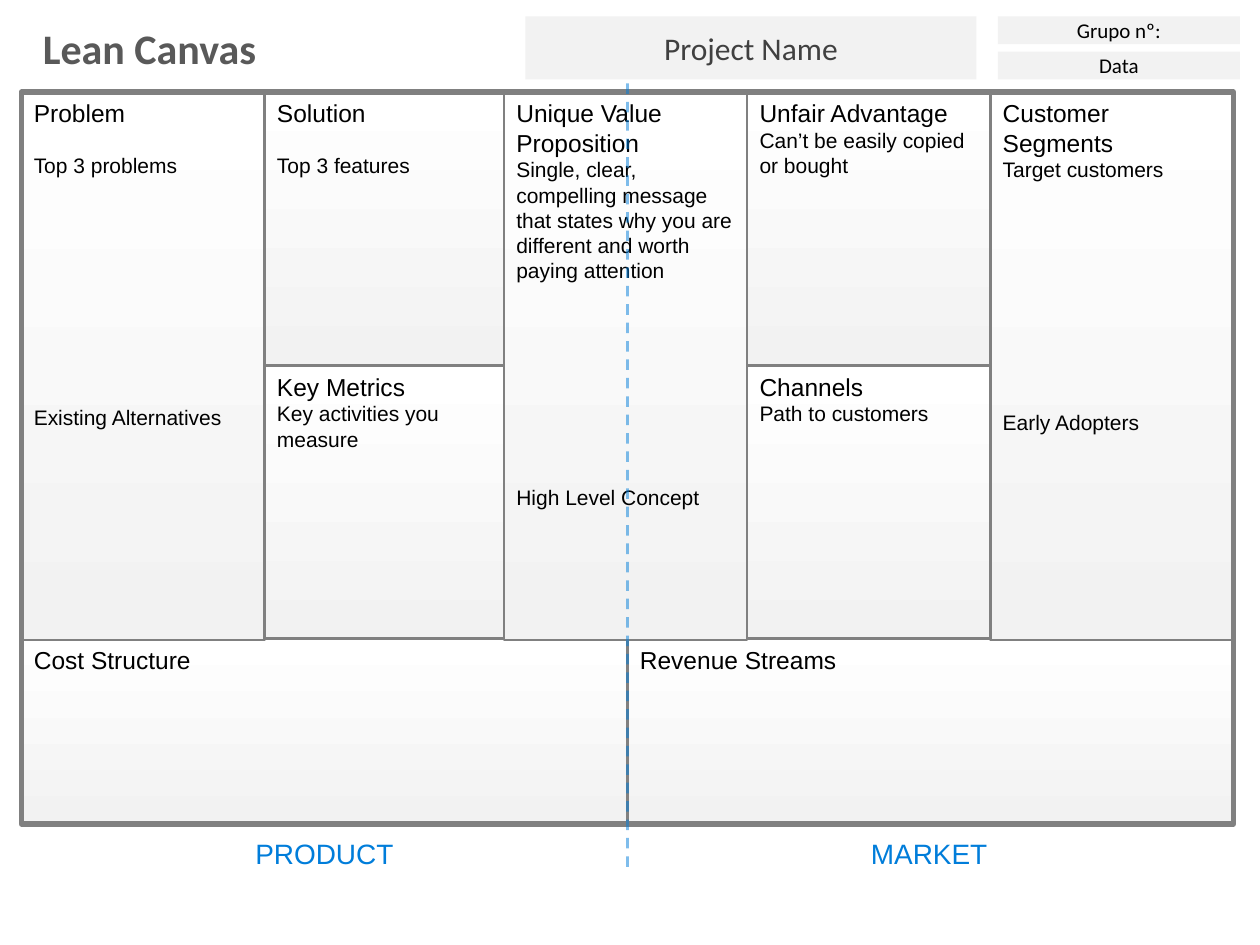
import lxml.etree
import pptx
import pptx.dml.color
import pptx.enum.dml
import pptx.enum.shapes
import pptx.enum.text
import pptx.oxml.ns
import pptx.util

Inches = pptx.util.Inches
Pt = pptx.util.Pt
RGBColor = pptx.dml.color.RGBColor
Align = pptx.enum.text.PP_ALIGN
Anchor = pptx.enum.text.MSO_ANCHOR
Shape = pptx.enum.shapes.MSO_SHAPE
qn = pptx.oxml.ns.qn

WHITE = RGBColor(0xFF, 0xFF, 0xFF)
BLACK = RGBColor(0x00, 0x00, 0x00)
PALE = RGBColor(0xF2, 0xF2, 0xF2)
BORDER = RGBColor(0x80, 0x80, 0x80)
TITLE_GREY = RGBColor(0x59, 0x59, 0x59)
NAME_GREY = RGBColor(0x40, 0x40, 0x40)
BLUE = RGBColor(0x00, 0x7D, 0xDA)


def write(frame, text, size=12, font="Arial", color=BLACK, bold=False,
          align=Align.LEFT, before=0):
    """Fill the empty first paragraph of a frame, or add a new one."""
    paragraph = frame.paragraphs[0]
    if paragraph.runs:
        paragraph = frame.add_paragraph()
    paragraph.alignment = align
    paragraph.space_before = Pt(before)
    run = paragraph.add_run()
    run.text = text
    run.font.size = Pt(size)
    run.font.name = font
    run.font.bold = bold
    run.font.color.rgb = color


class Canvas:
    heading_font = "Calibri"
    heading_size = 14
    cell_line = 1.5

    def __init__(self, slide):
        self.slide = slide

    def title(self, text, left, top, width, height):
        title = self.slide.shapes.title
        title.left, title.top = Inches(left), Inches(top)
        title.width, title.height = Inches(width), Inches(height)
        frame = title.text_frame
        frame.word_wrap = False
        frame.auto_size = pptx.enum.text.MSO_AUTO_SIZE.NONE
        frame.vertical_anchor = Anchor.TOP
        write(frame, text, size=24, font=self.heading_font, color=TITLE_GREY, bold=True)

    def shape(self, kind, left, top, width, height):
        shape = self.slide.shapes.add_shape(
            kind, Inches(left), Inches(top), Inches(width), Inches(height))
        shape.shadow.inherit = False
        return shape

    def field(self, text, left, top, width, height, size=12, color=BLACK):
        field = self.shape(Shape.RECTANGLE, left, top, width, height)
        field.fill.solid()
        field.fill.fore_color.rgb = PALE
        field.line.fill.background()
        field.text_frame.vertical_anchor = Anchor.MIDDLE
        write(field.text_frame, text, size=size, font=self.heading_font,
              color=color, align=Align.CENTER)

    def outline(self, left, top, width, height, weight):
        box = self.shape(Shape.ROUNDED_RECTANGLE, left, top, width, height)
        box.adjustments[0] = 0
        box.line.color.rgb = BORDER
        box.line.width = Pt(weight)
        box.fill.background()
        return box

    def cell(self, heading, notes, left, top, width, height):
        """Add a canvas cell; notes are (text, space before) pairs."""
        cell = self.outline(left, top, width, height, self.cell_line)
        cell.fill.gradient()
        cell.fill.gradient_angle = 90
        for stop, color in zip(cell.fill.gradient_stops, (PALE, WHITE)):
            stop.color.rgb = color
        cell.text_frame.vertical_anchor = Anchor.TOP
        write(cell.text_frame, heading, size=self.heading_size)
        for text, before in notes:
            write(cell.text_frame, text, before=before)

    def label(self, text, left, top, width, height):
        label = self.slide.shapes.add_textbox(
            Inches(left), Inches(top), Inches(width), Inches(height))
        label.text_frame.word_wrap = False
        write(label.text_frame, text, size=16, color=BLUE, align=Align.CENTER)

    def divider(self, x, start, end):
        divider = self.slide.shapes.add_connector(
            pptx.enum.shapes.MSO_CONNECTOR.STRAIGHT,
            Inches(x), Inches(start), Inches(x), Inches(end))
        divider.line.color.rgb = BLUE
        divider.line.width = Pt(1.5)
        divider.line.dash_style = pptx.enum.dml.MSO_LINE.DASH
        properties = divider.element.spPr
        color = properties.find(".//" + qn("a:srgbClr"))
        lxml.etree.SubElement(color, qn("a:alpha"), val="50000")
        lxml.etree.SubElement(properties, qn("a:effectLst"))


def main():
    deck = pptx.Presentation()
    deck.slide_width, deck.slide_height = Inches(10), Inches(7.5)
    canvas = Canvas(deck.slides.add_slide(deck.slide_layouts[5]))

    # Header
    canvas.title("Lean Canvas", 0.24, 0.13, 1.92, 0.5)
    canvas.field("Project Name", 4.17, 0.13, 3.58, 0.5, size=18, color=NAME_GREY)
    for row, text in enumerate(("Grupo nº:", "Data")):
        canvas.field(text, 7.92, 0.13 + row * 0.28, 1.92, 0.22)

    # Grid measures
    left, top, width = 0.17, 0.73, 9.62
    half, column, row_height = width / 2, 1.93, 2.17
    middle, bottom = top + row_height, 5.07
    tall = 4.35

    # Bottom row
    for side, heading in enumerate(("Cost Structure", "Revenue Streams")):
        canvas.cell(heading, [], left + side * half, bottom, half, 1.46)

    # Five columns
    cells = [
        ("Problem", [("Top 3 problems", 14), ("Existing Alternatives", 130)],
         left, top, tall),
        ("Solution", [("Top 3 features", 14)], 2.1, top, row_height),
        ("Key Metrics", [("Key activities you measure", 0)], 2.1, middle, row_height),
        ("Unique Value Proposition",
         [("Single, clear, compelling message that states why you are "
           "different and worth paying attention", 0),
          ("High Level Concept", 115)], 4, top, tall),
        ("Unfair Advantage", [("Can’t be easily copied or bought", 0)],
         5.93, top, row_height),
        ("Channels", [("Path to customers", 0)], 5.93, middle, row_height),
        ("Customer Segments", [("Target customers", 0), ("Early Adopters", 130)],
         7.86, top, tall),
    ]
    for heading, notes, x, y, height in cells:
        canvas.cell(heading, notes, x, y, column, height)

    # Frame, side labels and centre line
    canvas.outline(left, top, width, 5.81, 3)
    canvas.label("PRODUCT", 1.92, 6.59, 1.31, 0.37)
    canvas.label("MARKET", 6.81, 6.59, 1.13, 0.37)
    canvas.divider(left + half, 6.88, 0.61)

    deck.save("out.pptx")


if __name__ == "__main__":
    main()
